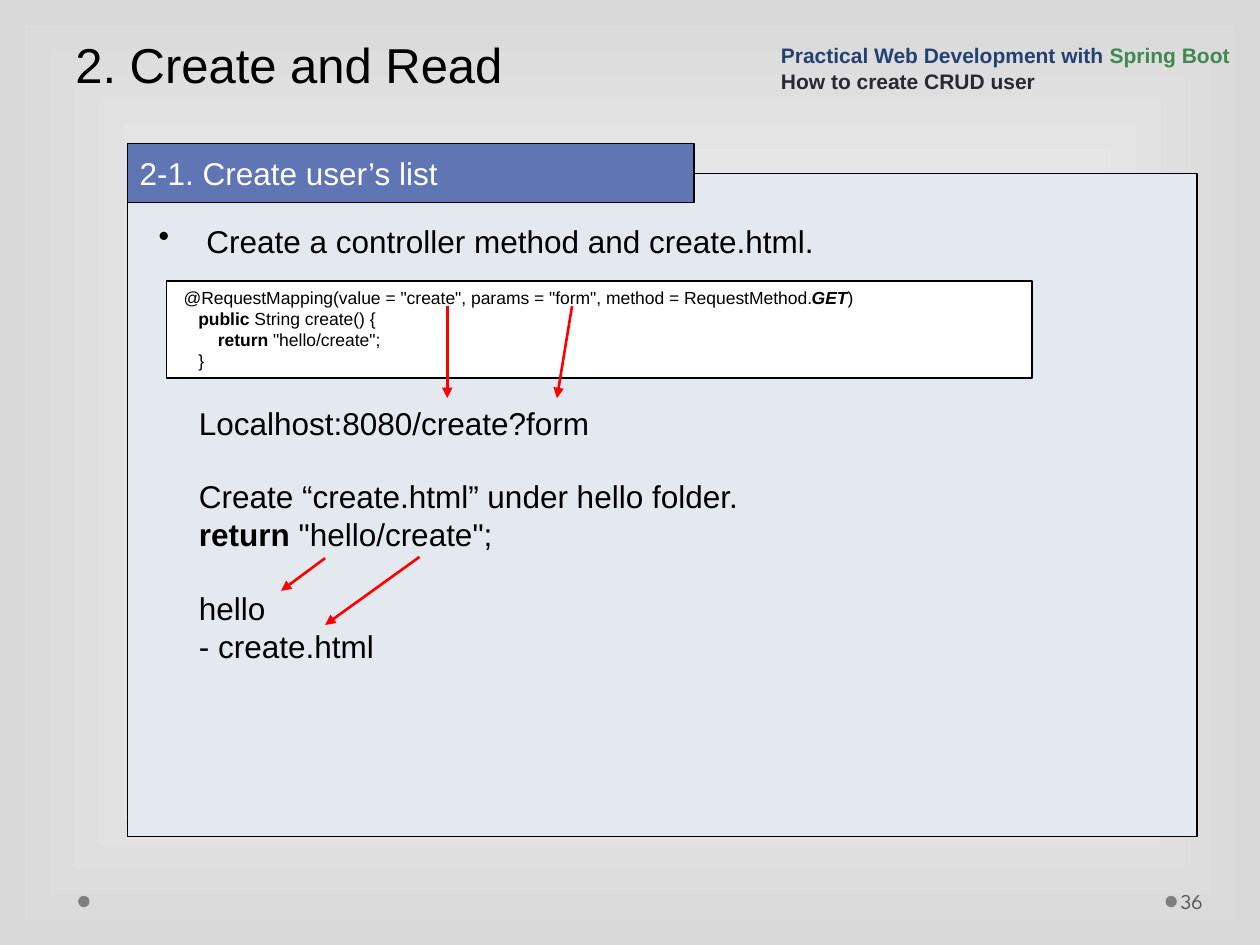
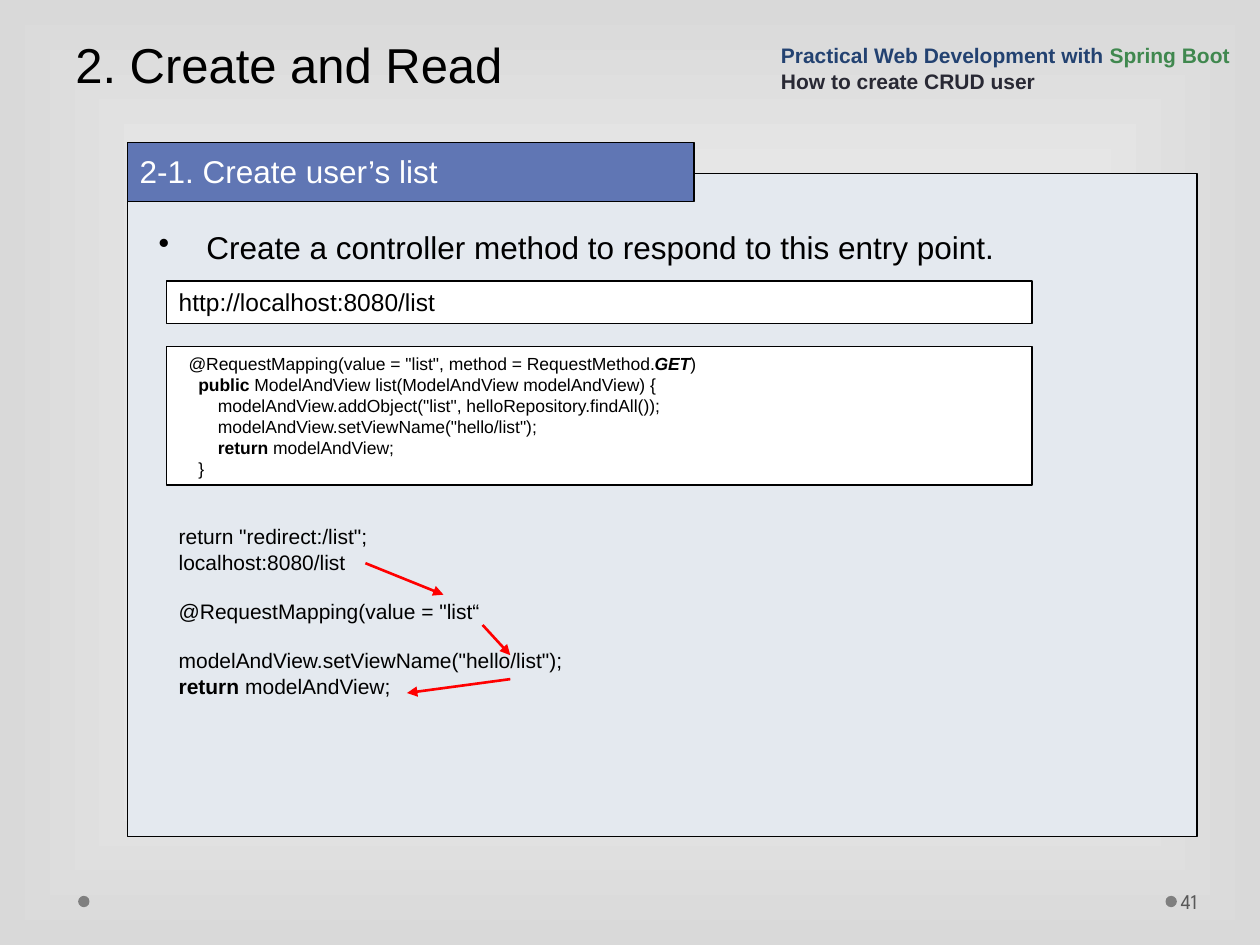
from dataclasses import dataclass

import pptx
import pptx.dml.color
import pptx.enum.shapes
import pptx.enum.text
import pptx.oxml
import pptx.oxml.ns
import pptx.util
from lxml import etree

COLUMNS, ROWS = 100, 75
SHAPES = pptx.enum.shapes.MSO_SHAPE
ANCHORS = pptx.enum.text.MSO_ANCHOR
qn = pptx.oxml.ns.qn


@dataclass(frozen=True)
class Theme:
    font: str = "Arial"
    number_font: str = "League Spartan"
    center: str = "FFFFFF"
    edge: str = "D9D9D9"
    dot: str = "7F7F7F"
    number: str = "595959"
    ink: str = "000000"
    panel: str = "E4E9EF"
    tab: str = "6076B4"
    paper: str = "FFFFFF"
    course: str = "234271"
    framework: str = "40884F"
    topic: str = "292934"
    arrow: str = "FF0000"
    title_size: int = 28
    body_size: int = 18
    address_size: int = 14
    small_size: int = 12
    code_size: int = 10
    outline: float = 0.75
    arrow_width: float = 1.5
    title_line: int = 58
    lead: float = 4.5
    hanging: float = 0.38
    line_height: float = 1.15
    space_width: float = 0.28


THEME = Theme()


@dataclass(frozen=True)
class Box:
    left: float
    top: float
    width: float
    height: float

    def inner(self, left, top, width, height):
        return Box(self.left + left, self.top + top, width, height)


@dataclass(frozen=True)
class Span:
    text: str
    bold: bool = False
    italic: bool = False
    color: str = ""


@dataclass(frozen=True)
class Line:
    spans: tuple
    indent: int = 0
    gap: int = 0


def line(*pieces, indent=0, gap=0):
    spans = tuple(Span(piece) if isinstance(piece, str) else piece for piece in pieces)
    return Line(spans, indent, gap)


def bold(text, italic=False, color=""):
    return Span(text, True, italic, color)


class Page:
    def __init__(self, deck):
        self.slide = deck.slides.add_slide(deck.slide_layouts[6])
        self.column = deck.slide_width / COLUMNS
        self.row = deck.slide_height / ROWS
        self.whole = Box(0, 0, COLUMNS, ROWS)

    def point(self, left, top):
        return round(left * self.column), round(top * self.row)

    def frame(self, box):
        return *self.point(box.left, box.top), *self.point(box.width, box.height)


def paint(color_format, value):
    color_format.rgb = pptx.dml.color.RGBColor.from_string(value)


def draw_shape(page, box, fill, preset=SHAPES.RECTANGLE, outlined=True):
    shape = page.slide.shapes.add_shape(preset, *page.frame(box))
    shape.shadow.inherit = False
    shape.fill.solid()
    paint(shape.fill.fore_color, fill)
    if outlined:
        paint(shape.line.color, THEME.ink)
        shape.line.width = pptx.util.Pt(THEME.outline)
    else:
        shape.line.fill.background()
    return shape


def write(shape, lines, size, color=THEME.ink, font=THEME.font, anchor=ANCHORS.TOP):
    frame = shape.text_frame
    frame.word_wrap = True
    frame.vertical_anchor = anchor
    for index, entry in enumerate(lines):
        para = frame.add_paragraph() if index else frame.paragraphs[0]
        para.alignment = pptx.enum.text.PP_ALIGN.LEFT
        if entry.gap:
            para.space_before = pptx.util.Pt(entry.gap * size * THEME.line_height)
        if entry.indent:
            indent = pptx.util.Pt(entry.indent * size * THEME.space_width)
            para._p.get_or_add_pPr().set("marL", str(indent))
        for span in entry.spans:
            run = para.add_run()
            run.text = span.text
            run.font.name = font
            run.font.size = pptx.util.Pt(size)
            run.font.bold = span.bold
            run.font.italic = span.italic
            paint(run.font.color, span.color or color)
    return frame


def draw_text(page, box, lines, size, **style):
    shape = page.slide.shapes.add_textbox(*page.frame(box))
    return write(shape, lines, size, **style)


def hang(para, distance):
    properties = para._p.get_or_add_pPr()
    properties.set("marL", str(pptx.util.Inches(distance)))
    properties.set("indent", str(-pptx.util.Inches(distance)))
    return properties


def draw_bullet(page, box, text):
    para = draw_text(page, box, [line(text)], THEME.body_size).paragraphs[0]
    para.space_before = pptx.util.Pt(THEME.lead)
    properties = hang(para, THEME.hanging)
    color = etree.SubElement(properties, qn("a:buClr"))
    etree.SubElement(color, qn("a:srgbClr"), val=THEME.ink)
    etree.SubElement(properties, qn("a:buChar"), char="•")


def draw_note(page, box, lines, size):
    write(draw_shape(page, box, THEME.paper), lines, size)


def draw_arrows(page, box, routes):
    for start, end in routes:
        ends = [page.point(box.left + x, box.top + y) for x, y in (start, end)]
        arrow = page.slide.shapes.add_connector(
            pptx.enum.shapes.MSO_CONNECTOR.STRAIGHT, *ends[0], *ends[1])
        paint(arrow.line.color, THEME.arrow)
        arrow.line.width = pptx.util.Pt(THEME.arrow_width)
        etree.SubElement(arrow.line._get_or_add_ln(), qn("a:tailEnd"), type="triangle")
        etree.SubElement(arrow._element.spPr, qn("a:effectLst"))


def set_background(deck):
    fill = deck.slide_master.background.fill
    fill.gradient()
    stops = zip(fill.gradient_stops, (THEME.center, THEME.edge), (0, 1))
    for stop, color, position in stops:
        paint(stop.color, color)
        stop.position = position
    gradient = deck.slide_master.element.find(".//" + qn("a:gradFill"))
    gradient.remove(gradient.find(qn("a:lin")))
    route = etree.SubElement(gradient, qn("a:path"), {"path": "rect"})
    etree.SubElement(route, qn("a:fillToRect"), dict.fromkeys("ltrb", "50000"))


def draw_header(page, box):
    title = draw_text(page, box.inner(5, 0, 90, 7.9), [line("2. Create and Read")],
                      THEME.title_size, anchor=ANCHORS.BOTTOM)
    title.paragraphs[0].line_spacing = pptx.util.Pt(THEME.title_line)
    hang(title.paragraphs[0], 1)
    course = [
        line(bold("Practical Web Development with "),
             bold("Spring Boot", color=THEME.framework)),
        line(bold("How to create CRUD user", color=THEME.topic)),
    ]
    draw_text(page, box.inner(61, 2.4, 39, 5.5), course, THEME.small_size,
              color=THEME.course, anchor=ANCHORS.BOTTOM)


def draw_footer(page, box, number):
    for left in (6.2, 92.5):
        draw_shape(page, box.inner(left, 1.6, 0.9, 0.9), THEME.dot, SHAPES.OVAL, False)
    frame = draw_text(page, box.inner(93.4, 0, 6.1, 4), [line(number)], THEME.small_size,
                      color=THEME.number, font=THEME.number_font, anchor=ANCHORS.MIDDLE)
    frame.margin_left = pptx.util.Inches(0.03)


def draw_panel(page, box, tab_rise):
    draw_shape(page, box, THEME.panel)
    tab = draw_shape(page, box.inner(0, -tab_rise, 45, 4.7), THEME.tab)
    para = write(tab, [line("2-1. Create user’s list")], THEME.body_size,
                 color=THEME.paper).paragraphs[0]
    para.line_spacing = 1.1
    para.space_before = pptx.util.Pt(THEME.lead)
    hang(para, THEME.hanging)


def start_page(deck, number, tab_rise):
    page = Page(deck)
    panel = page.whole.inner(10.1, 13.8, 84.9, 52.6)
    draw_panel(page, panel, tab_rise)
    draw_header(page, page.whole)
    draw_footer(page, page.whole.inner(0, 69.5, COLUMNS, 5.5), number)
    return page, panel


def add_create_page(deck):
    page, panel = start_page(deck, "36", 2.4)
    draw_bullet(page, panel.inner(1.5, 3.3, 73.9, 6.5),
                "Create a controller method and create.html.")
    draw_text(page, panel.inner(4.7, 17.8, 41.5, 4),
              [line("Localhost:8080/create?form")], THEME.body_size)
    draw_note(page, panel.inner(3.1, 8.5, 68.7, 7.7), [
        line('@RequestMapping(value = "create", params = "form", method = RequestMethod.',
             bold("GET", italic=True), ")", indent=1),
        line(bold("public"), " String create() {", indent=4),
        line(bold("return"), ' "hello/create";', indent=8),
        line("}", indent=4),
    ], THEME.code_size)
    draw_text(page, panel.inner(4.7, 23.6, 54.2, 19), [
        line("Create “create.html” under hello folder."),
        line(bold("return"), ' "hello/create";'),
        line("hello", gap=1),
        line("- create.html"),
    ], THEME.body_size)
    draw_arrows(page, panel, [
        ((25.4, 10.5), (25.4, 17.8)),
        ((35.3, 10.5), (34.1, 17.8)),
        ((15.7, 30.5), (12.2, 33.1)),
        ((23.2, 30.4), (15.7, 35.8)),
    ])


def add_list_page(deck):
    page, panel = start_page(deck, "41", 2.5)
    draw_bullet(page, panel.inner(1.5, 3.8, 73.9, 4.8),
                "Create a controller method to respond to this entry point.")
    draw_note(page, panel.inner(3.1, 8.5, 68.7, 3.4),
              [line("http://localhost:8080/list")], THEME.address_size)
    draw_note(page, panel.inner(3.1, 13.7, 68.7, 11), [
        line('@RequestMapping(value = "list", method = RequestMethod.',
             bold("GET", italic=True), ")", indent=2),
        line(bold("public"), " ModelAndView list(ModelAndView modelAndView) {", indent=4),
        line('modelAndView.addObject("list", helloRepository.findAll());', indent=8),
        line('modelAndView.setViewName("hello/list");', indent=8),
        line(bold("return"), " modelAndView;", indent=8),
        line("}", indent=4),
    ], THEME.code_size)
    draw_text(page, panel.inner(3.1, 27.3, 54.3, 19), [
        line('return "redirect:/list";'),
        line("localhost:8080/list"),
        line('@RequestMapping(value = "list“', gap=1),
        line('modelAndView.setViewName("hello/list");', gap=1),
        line(bold("return"), " modelAndView;"),
    ], THEME.small_size)
    draw_arrows(page, panel, [
        ((18.9, 30.9), (25.1, 33.4)),
        ((28.2, 35.8), (30.4, 38.2)),
        ((30.4, 40.1), (22.2, 41.2)),
    ])


def main():
    deck = pptx.Presentation()
    deck.slide_width = pptx.util.Inches(10)
    deck.slide_height = pptx.util.Inches(7.5)
    set_background(deck)
    add_create_page(deck)
    add_list_page(deck)
    deck.save("out.pptx")


if __name__ == "__main__":
    main()
